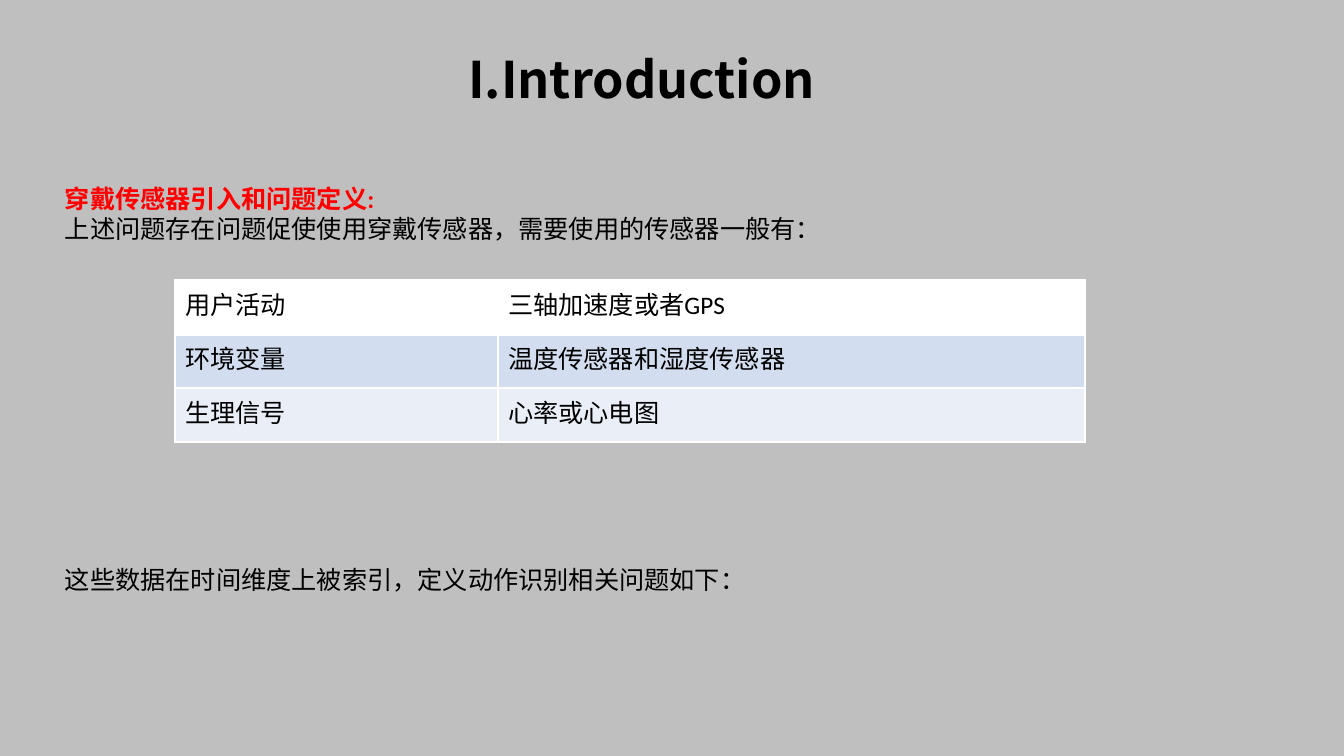
from dataclasses import dataclass

from lxml import etree
from pptx import Presentation
from pptx.dml.color import RGBColor
from pptx.enum.text import MSO_ANCHOR, MSO_AUTO_SIZE, PP_ALIGN
from pptx.oxml.ns import qn
from pptx.util import Emu, Pt

BLACK = RGBColor(0x00, 0x00, 0x00)
RED = RGBColor(0xFF, 0x00, 0x00)
WHITE = RGBColor(0xFF, 0xFF, 0xFF)
GREY = RGBColor(0xBF, 0xBF, 0xBF)
BAND_DARK = RGBColor(0xD2, 0xDE, 0xEF)
BAND_LIGHT = RGBColor(0xEA, 0xEF, 0xF7)

LEFT = PP_ALIGN.LEFT
TOP = MSO_ANCHOR.TOP
NO_AUTOFIT = MSO_AUTO_SIZE.NONE

BODY_FONT = "Calibri"
TITLE_FONT = "Noto Sans CJK SC"
COLUMN_WIDTHS = (323, 587)
ROW_HEIGHT = 54


@dataclass(frozen=True)
class Line:
    text: str
    color: RGBColor = BLACK
    bold: bool = False
    size: int = 18
    font: str = BODY_FONT


@dataclass(frozen=True)
class Passage:
    left: int
    top: int
    width: int
    height: int
    lines: tuple[Line, ...]


@dataclass(frozen=True)
class SensorRow:
    purpose: str
    sensors: str
    fill: RGBColor
    bottom_border: int = 1


PASSAGES = (
    Passage(55, 178, 1288, 102, (
        Line("穿戴传感器引入和问题定义:", RED, True),
        Line("上述问题存在问题促使使用穿戴传感器，需要使用的传感器一般有："),
    )),
    Passage(55, 559, 1250, 40, (
        Line("这些数据在时间维度上被索引，定义动作识别相关问题如下："),
    )),
)
SENSOR_ROWS = (
    SensorRow("用户活动", "三轴加速度或者GPS", WHITE, 3),
    SensorRow("环境变量", "温度传感器和湿度传感器", BAND_DARK),
    SensorRow("生理信号", "心率或心电图", BAND_LIGHT),
)


def px(length: int) -> Emu:
    return Emu(round(length * 914400 / 100.8))


def place(shape, left: int, top: int, width: int, height: int) -> None:
    shape.left, shape.top = px(left), px(top)
    shape.width, shape.height = px(width), px(height)


def write_line(paragraph, line: Line) -> None:
    paragraph.text = line.text
    paragraph.alignment = LEFT
    font = paragraph.font
    font.name, font.size, font.bold = line.font, Pt(line.size), line.bold
    font.color.rgb = line.color


def add_passage(slide, passage: Passage) -> None:
    box = slide.shapes.add_textbox(px(passage.left), px(passage.top),
                                   px(passage.width), px(passage.height))
    frame = box.text_frame
    frame.word_wrap = True
    for index, line in enumerate(passage.lines):
        paragraph = frame.add_paragraph() if index else frame.paragraphs[0]
        write_line(paragraph, line)


def add_borders(cell, bottom: int) -> None:
    properties = cell._tc.get_or_add_tcPr()
    for side, points in (("L", 1), ("R", 1), ("T", 1), ("B", bottom)):
        border = etree.SubElement(properties, qn(f"a:ln{side}"), w=str(Pt(points)))
        fill = etree.SubElement(border, qn("a:solidFill"))
        etree.SubElement(fill, qn("a:srgbClr"), val=str(WHITE))


def add_sensor_table(slide, left: int, top: int) -> None:
    table = slide.shapes.add_table(
        len(SENSOR_ROWS), len(COLUMN_WIDTHS), px(left), px(top),
        px(sum(COLUMN_WIDTHS)), px(ROW_HEIGHT * len(SENSOR_ROWS))).table
    table.first_row = table.horz_banding = False
    for column, width in zip(table.columns, COLUMN_WIDTHS):
        column.width = px(width)
    for table_row, sensor_row in zip(table.rows, SENSOR_ROWS):
        table_row.height = px(ROW_HEIGHT)
        for cell, text in zip(table_row.cells, (sensor_row.purpose, sensor_row.sensors)):
            add_borders(cell, sensor_row.bottom_border)
            cell.fill.solid()
            cell.fill.fore_color.rgb = sensor_row.fill
            write_line(cell.text_frame.paragraphs[0], Line(text))


def main() -> None:
    presentation = Presentation()
    presentation.slide_width, presentation.slide_height = px(1344), px(756)
    slide = presentation.slides.add_slide(presentation.slide_layouts[5])
    slide.background.fill.solid()
    slide.background.fill.fore_color.rgb = GREY

    # Title
    title = slide.shapes.title
    place(title, 458, 43, 374, 72)
    title.text_frame.word_wrap = False
    title.text_frame.auto_size = NO_AUTOFIT
    title.text_frame.vertical_anchor = TOP
    write_line(title.text_frame.paragraphs[0],
               Line("I.Introduction", bold=True, size=36, font=TITLE_FONT))

    # Explanations
    for passage in PASSAGES:
        add_passage(slide, passage)

    # Sensors by purpose
    add_sensor_table(slide, 175, 280)

    presentation.save("out.pptx")


if __name__ == "__main__":
    main()
